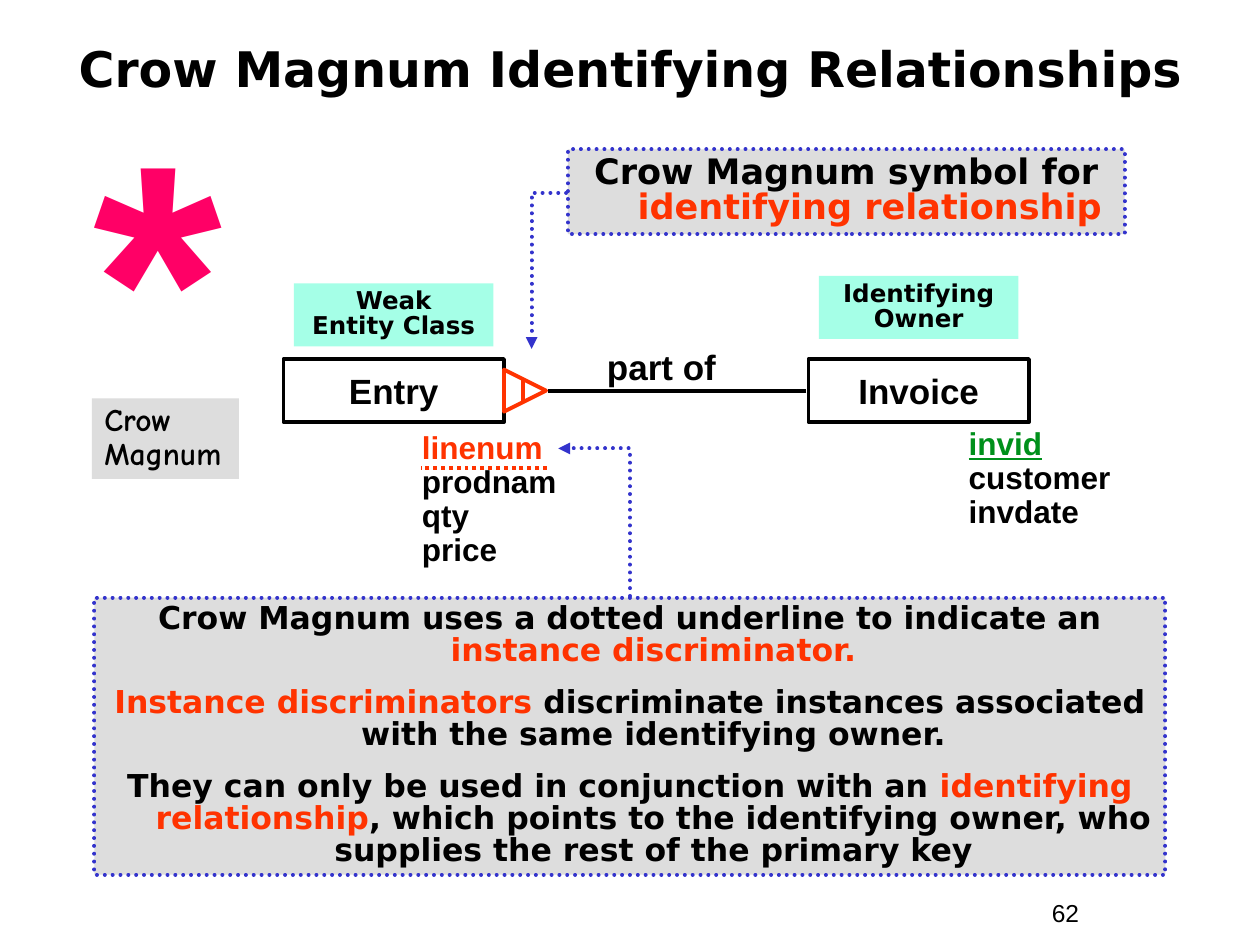
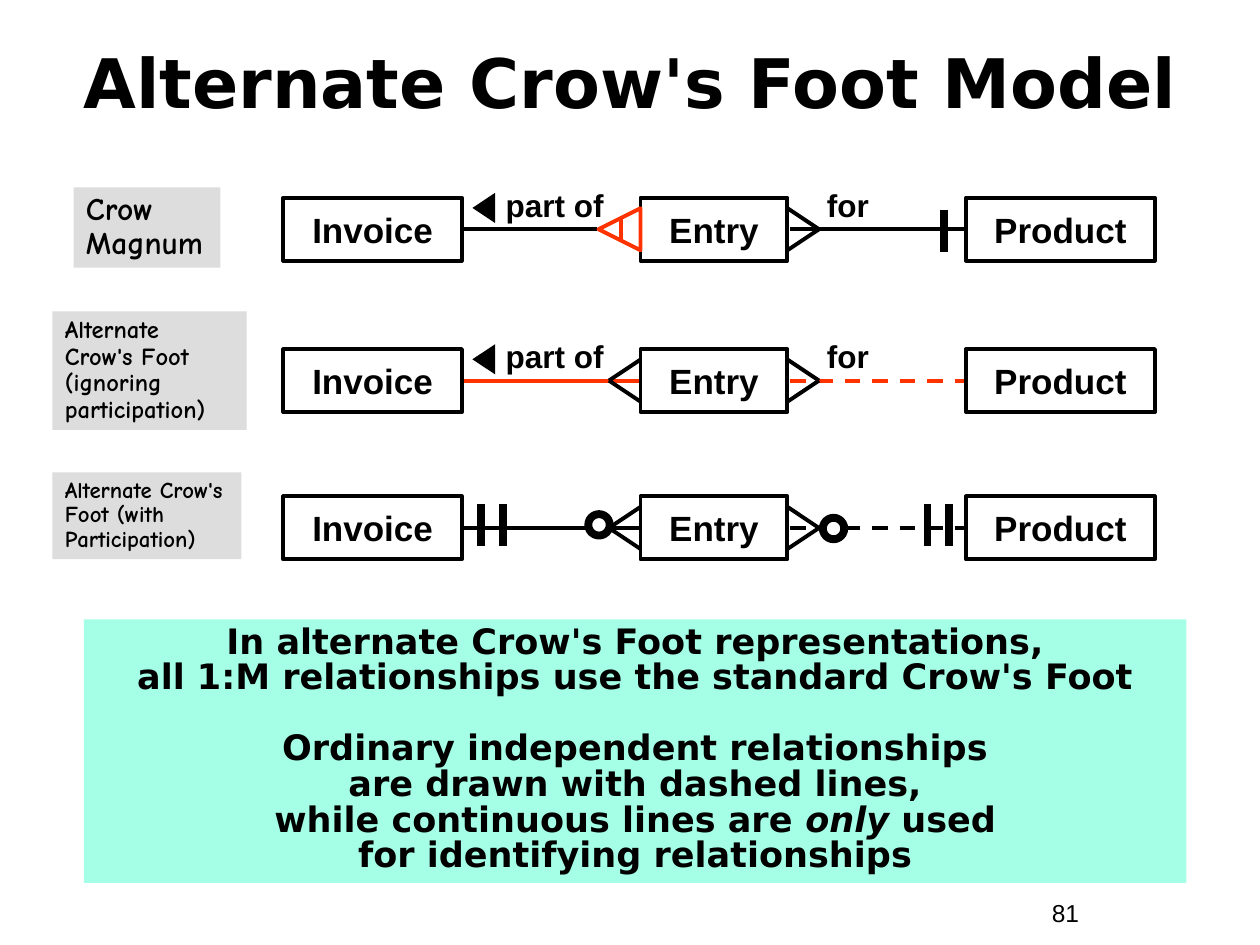
from dataclasses import dataclass, replace

from lxml import etree
from pptx import Presentation
from pptx.dml.color import RGBColor
from pptx.enum import dml, shapes, text
from pptx.oxml import ns
from pptx.util import Pt

CENTER = text.PP_ALIGN.CENTER
LEFT = text.PP_ALIGN.LEFT
DASH = dml.MSO_LINE.DASH
DOT = dml.MSO_LINE.ROUND_DOT
SHAPE = shapes.MSO_SHAPE


@dataclass(frozen=True)
class Style:
    font: str
    size: float
    color: str = "000000"
    bold: bool = True
    italic: bool = False
    underline: bool = False


@dataclass(frozen=True)
class Theme:
    black: str = "000000"
    white: str = "FFFFFF"
    red: str = "FF3300"
    blue: str = "3333CC"
    gray: str = "DDDDDD"
    mint: str = "A5FFE7"
    thin: float = 2.25
    thick: float = 4.5
    title: Style = Style("DejaVu Sans", 28)
    large_title: Style = Style("DejaVu Sans", 39)
    note: Style = Style("DejaVu Sans", 20)
    body: Style = Style("DejaVu Sans", 18)
    role: Style = Style("DejaVu Sans", 14)
    entity: Style = Style("Arial", 20)
    attribute: Style = Style("Arial", 18)
    key: Style = Style("Arial", 18, "00901B", underline=True)
    discriminator: Style = Style("Arial", 18, "FF3300")
    star: Style = Style("Arial", 189, "FF0066")
    number: Style = Style("Arial", 14, bold=False)
    tag: Style = Style("Comic Neue", 18)


THEME = Theme()


def rgb(color):
    return RGBColor.from_string(color)


def add_run(paragraph, words, style):
    """Add words in one style, turning each newline into a line break."""
    for index, piece in enumerate(words.split("\n")):
        if index:
            paragraph.add_line_break()
        if piece:
            run = paragraph.add_run()
            run.text = piece
            font = run.font
            font.name, font.size = style.font, Pt(style.size)
            font.bold, font.italic = style.bold, style.italic
            font.underline = style.underline
            font.color.rgb = rgb(style.color)


def write(shape, paragraphs, align=CENTER, spacing=1.0, gap=0, hanging=0, middle=False):
    """Fill a shape with paragraphs, each a list of (words, style) runs."""
    frame = shape.text_frame
    frame.word_wrap = True
    frame.vertical_anchor = text.MSO_ANCHOR.MIDDLE if middle else text.MSO_ANCHOR.TOP
    for index, runs in enumerate(paragraphs):
        paragraph = frame.add_paragraph() if index else frame.paragraphs[0]
        paragraph.alignment = align
        paragraph.line_spacing = spacing
        paragraph.space_before = Pt(gap if index else 0)
        if hanging:
            properties = paragraph._p.get_or_add_pPr()
            properties.set("marL", str(Pt(hanging)))
            properties.set("indent", str(-Pt(hanging)))
        for words, style in runs:
            add_run(paragraph, words, style)


def add_text(slide, box, paragraphs, **layout):
    shape = slide.shapes.add_textbox(*map(Pt, box))
    write(shape, paragraphs, **layout)


def add_shape(slide, kind, box, fill=None, line=None, weight=THEME.thin):
    shape = slide.shapes.add_shape(kind, *map(Pt, box))
    shape.shadow.inherit = False
    if fill:
        shape.fill.solid()
        shape.fill.fore_color.rgb = rgb(fill)
    else:
        shape.fill.background()
    if line:
        shape.line.color.rgb = rgb(line)
        shape.line.width = Pt(weight)
    else:
        shape.line.fill.background()
    return shape


def add_panel(slide, box, fill, paragraphs, **layout):
    shape = add_shape(slide, SHAPE.RECTANGLE, box, fill)
    write(shape, paragraphs, **layout)
    return shape


def add_line(slide, start, end, color=THEME.black, weight=THEME.thin, dash=None):
    line = slide.shapes.add_connector(
        shapes.MSO_CONNECTOR.STRAIGHT, *map(Pt, (*start, *end)))
    line.line.color.rgb = rgb(color)
    line.line.width = Pt(weight)
    if dash:
        line.line.dash_style = dash
    etree.SubElement(line._element.spPr, ns.qn("a:effectLst"))
    return line


def make_beaded(line):
    """Draw a line as touching round blue dots."""
    line.color.rgb = rgb(THEME.blue)
    line.width = Pt(THEME.thin)
    line.dash_style = DOT
    line._get_or_add_ln().set("cap", "rnd")


def add_elbow_arrow(slide, start, end, vertical_first):
    """Join two points, the end lying to the left, by one right-angled bend."""
    arrow = add_line(slide, start, end)
    make_beaded(arrow.line)
    properties = arrow._element.spPr
    properties.find(ns.qn("a:prstGeom")).set("prst", "bentConnector2")
    transform = properties.find(ns.qn("a:xfrm"))
    transform.attrib.clear()
    transform.set("rot", str((270 if vertical_first else 180) * 60000))
    transform.set("flipV", "1")
    if vertical_first:
        shift = (arrow.width - arrow.height) // 2
        arrow.left, arrow.top = arrow.left + shift, arrow.top - shift
        arrow.width, arrow.height = arrow.height, arrow.width
    tip = etree.SubElement(arrow.line._get_or_add_ln(), ns.qn("a:tailEnd"))
    tip.set("type", "triangle")


def add_callout(slide, box, paragraphs, **layout):
    panel = add_panel(slide, box, THEME.gray, paragraphs,
                      spacing=0.85, hanging=27, **layout)
    make_beaded(panel.line)


def add_tag(slide, box, words, size=18):
    add_panel(slide, box, THEME.gray, [[(words, replace(THEME.tag, size=size))]],
              align=LEFT, spacing=0.9)


def add_role(slide, left, top, words):
    add_panel(slide, (left, top, 114, 36), THEME.mint, [[(words, THEME.role)]],
              spacing=0.85)


def add_entity(slide, left, axis, width, name):
    """Draw an entity box centred on the height of its relationship line."""
    box = add_shape(slide, SHAPE.RECTANGLE, (left, axis - 18, width, 36),
                    line=THEME.black)
    write(box, [[(name, THEME.entity)]], middle=True)


def add_attributes(slide, box, first, others):
    names = [first] + [(name, THEME.attribute) for name in others]
    add_text(slide, box, [[name] for name in names], align=LEFT, spacing=0.9)


def add_identifying_symbol(slide, left, axis, turn):
    triangle = add_shape(slide, SHAPE.FLOWCHART_EXTRACT,
                         (left, axis - 12, 24, 24), line=THEME.red)
    triangle.rotation = turn
    bar = left + (11 if turn == 90 else 13)
    add_line(slide, (bar, axis - 7.2), (bar, axis + 7.2), THEME.red)


def add_crows_foot(slide, apex, base, axis):
    for side in (-12, 12):
        add_line(slide, (apex, axis), (base, axis + side))


def add_bar(slide, x, top):
    add_line(slide, (x, top), (x, top + 24), weight=THEME.thick)


def add_circle(slide, left, top):
    add_shape(slide, SHAPE.OVAL, (left, top, 12.24, 12.24),
              THEME.white, THEME.black, THEME.thick)


def start_slide(presentation, title, style, box, number, spacing=1.0):
    slide = presentation.slides.add_slide(presentation.slide_layouts[6])
    add_text(slide, (594, 509.8, 66, 24.5), [[(number, THEME.number)]], align=LEFT)
    add_text(slide, box, [[(title, style)]], spacing=spacing, middle=True)
    return slide


def add_entry_invoice_diagram(slide, left, axis):
    add_entity(slide, left + 300, axis, 126, "Invoice")
    add_entity(slide, left, axis, 126, "Entry")
    add_line(slide, (left + 298.8, axis), (left + 151.2, axis))
    add_text(slide, (left + 156, axis - 29.5, 120, 31.7),
             [[("part of", THEME.entity)]])
    add_identifying_symbol(slide, left + 126, axis, 90)
    add_attributes(slide, (left + 384.5, axis + 18, 102, 65.5),
                   ("invid", THEME.key), ["customer", "invdate"])
    add_attributes(slide, (left + 72, axis + 20, 120, 85),
                   ("linenum", THEME.discriminator), ["prodnam", "qty", "price"])
    add_line(slide, (left + 150.5, axis + 44), (left + 78.5, axis + 44),
             THEME.red, dash=DOT)
    add_role(slide, left + 306, axis - 65.5, "Identifying\nOwner")
    add_role(slide, left + 6, axis - 61.2, "Weak\nEntity Class")


def build_identifying_slide(presentation):
    slide = start_slide(presentation, "Crow Magnum Identifying Relationships",
                        THEME.title, (24, 6, 672, 66), "62")
    add_entry_invoice_diagram(slide, 162, 223.2)
    body, accent = THEME.body, replace(THEME.body, color=THEME.red)
    add_callout(slide, (54, 341.5, 612, 158.4), [
        [("Crow Magnum uses a dotted underline to indicate an", body),
         (" instance discriminator.", accent)],
        [("Instance discriminators", accent),
         (" discriminate instances associated with the same identifying owner.", body)],
        [("They can only be used in conjunction with an ", body),
         ("identifying relationship", accent),
         (", which points to the identifying owner, who supplies the rest "
          "of the primary key", body)],
    ], gap=11.2)
    add_elbow_arrow(slide, (360, 340.6), (319, 256.3), vertical_first=True)
    add_tag(slide, (52.5, 227.7, 84, 46), "Crow\nMagnum")
    add_callout(slide, (324.5, 85.3, 318.2, 48.5), [[
        ("Crow Magnum symbol for\n", THEME.note),
        ("identifying relationship", replace(THEME.note, color=THEME.red))]])
    add_elbow_arrow(slide, (323.5, 110.2), (303.8, 199.4), vertical_first=False)
    add_text(slide, (42, 59.8, 96, 211.7), [[("*", THEME.star)]], spacing=0.9)


def add_relationship_row(slide, left, axis, color=THEME.black, dash=None,
                         labelled=True, part_end=203):
    """Draw Invoice, Entry and Product with the two lines that join them."""
    for offset, width, name in ((0, 102, "Invoice"), (204, 84, "Entry"),
                                (390, 108, "Product")):
        add_entity(slide, left + offset, axis, width, name)
    add_line(slide, (left + 103, axis), (left + part_end, axis), color)
    add_line(slide, (left + 289.4, axis), (left + 388.8, axis), color, dash=dash)
    add_crows_foot(slide, left + 306, left + 288, axis)
    if labelled:
        for offset, width, words in ((113, 84, "part of"), (294, 57, "for")):
            add_text(slide, (left + offset, axis - 28.5, width, 29),
                     [[(words, THEME.attribute)]])
        pointer = add_shape(slide, SHAPE.ISOSCELES_TRIANGLE,
                            (left + 105.8, axis - 18.7, 17.3, 13), THEME.black)
        pointer.rotation = 270


def add_participation(slide, left, axis):
    for offset in (113, 125.3, 368, 380.2):
        add_bar(slide, left + offset, axis - 13.7)
    add_circle(slide, left + 174.2, axis - 7.9)
    add_circle(slide, left + 308.2, axis - 5.8)


def build_alternate_slide(presentation):
    slide = start_slide(presentation, "Alternate Crow's Foot Model",
                        THEME.large_title, (12, 24, 696, 54), "81", spacing=0.8)
    left = 162
    magnum, ignoring, participating = 131, 217.5, 301.7

    add_relationship_row(slide, left, magnum, part_end=179.3)
    add_identifying_symbol(slide, left + 180, magnum, 270)
    add_bar(slide, left + 377.3, magnum - 10.8)

    add_relationship_row(slide, left, ignoring, THEME.red, DASH)
    add_relationship_row(slide, left, participating, dash=DASH, labelled=False)
    for axis in (ignoring, participating):
        add_crows_foot(slide, left + 186, left + 204, axis)
    add_participation(slide, left, participating)

    add_tag(slide, (42, 107, 84, 46), "Crow\nMagnum")
    add_tag(slide, (30, 178, 111, 67.7),
            "Alternate Crow's Foot (ignoring participation)", 14)
    add_tag(slide, (30, 270, 108, 49.5),
            "Alternate Crow's Foot (with Participation)", 13)
    note = THEME.note
    add_panel(slide, (48, 354, 630, 150.5), THEME.mint, [
        [("In alternate Crow's Foot representations,\n"
          "all 1:M relationships use the standard Crow's Foot", note)],
        [("Ordinary independent relationships\nare drawn with dashed lines,\n"
          "while continuous lines are ", note),
         ("only", replace(note, italic=True)),
         (" used\nfor identifying relationships", note)],
    ], spacing=0.85, gap=20)


def main():
    presentation = Presentation()
    presentation.slide_width, presentation.slide_height = Pt(720), Pt(540)
    build_identifying_slide(presentation)
    build_alternate_slide(presentation)
    presentation.save("out.pptx")


if __name__ == "__main__":
    main()
